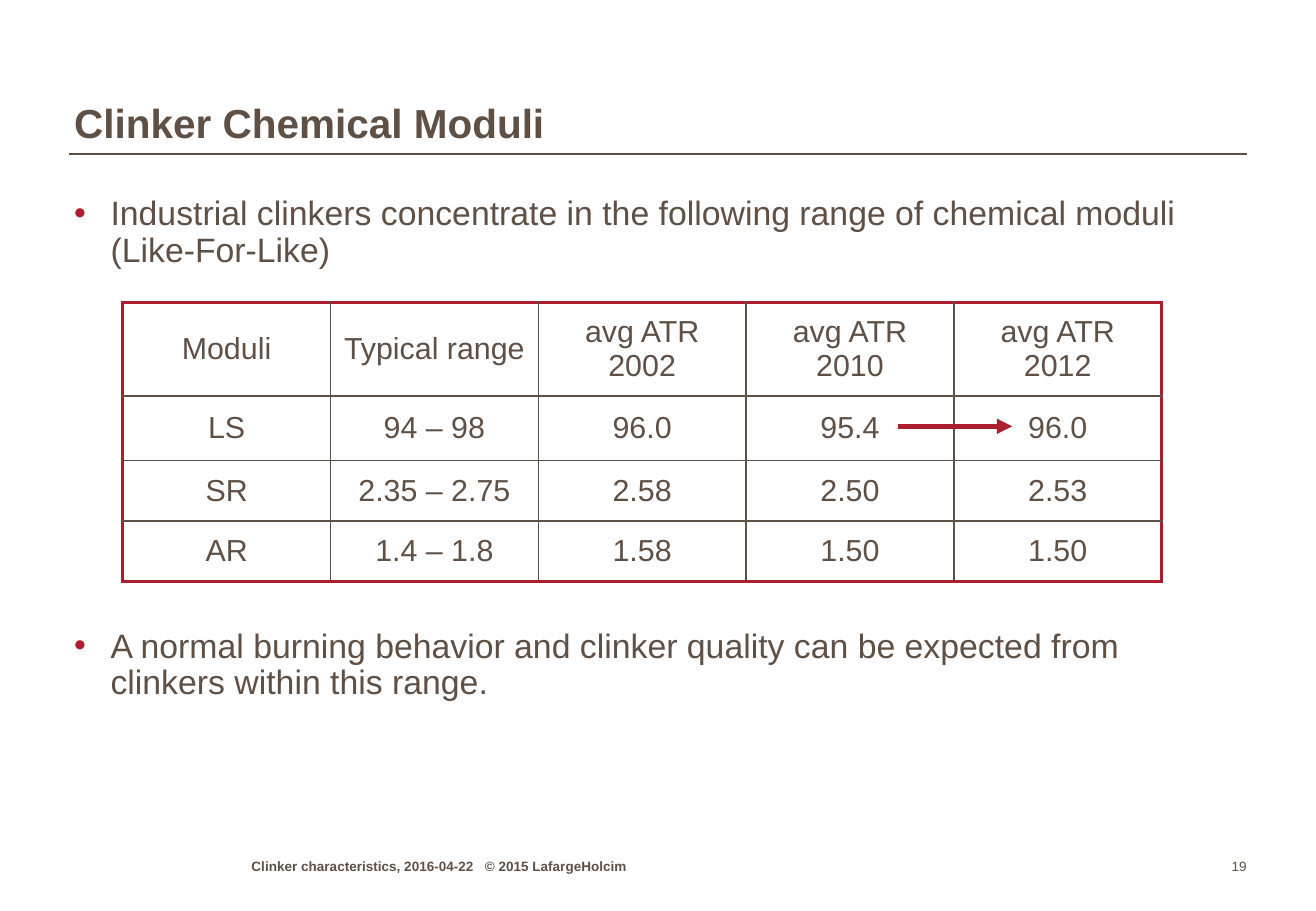
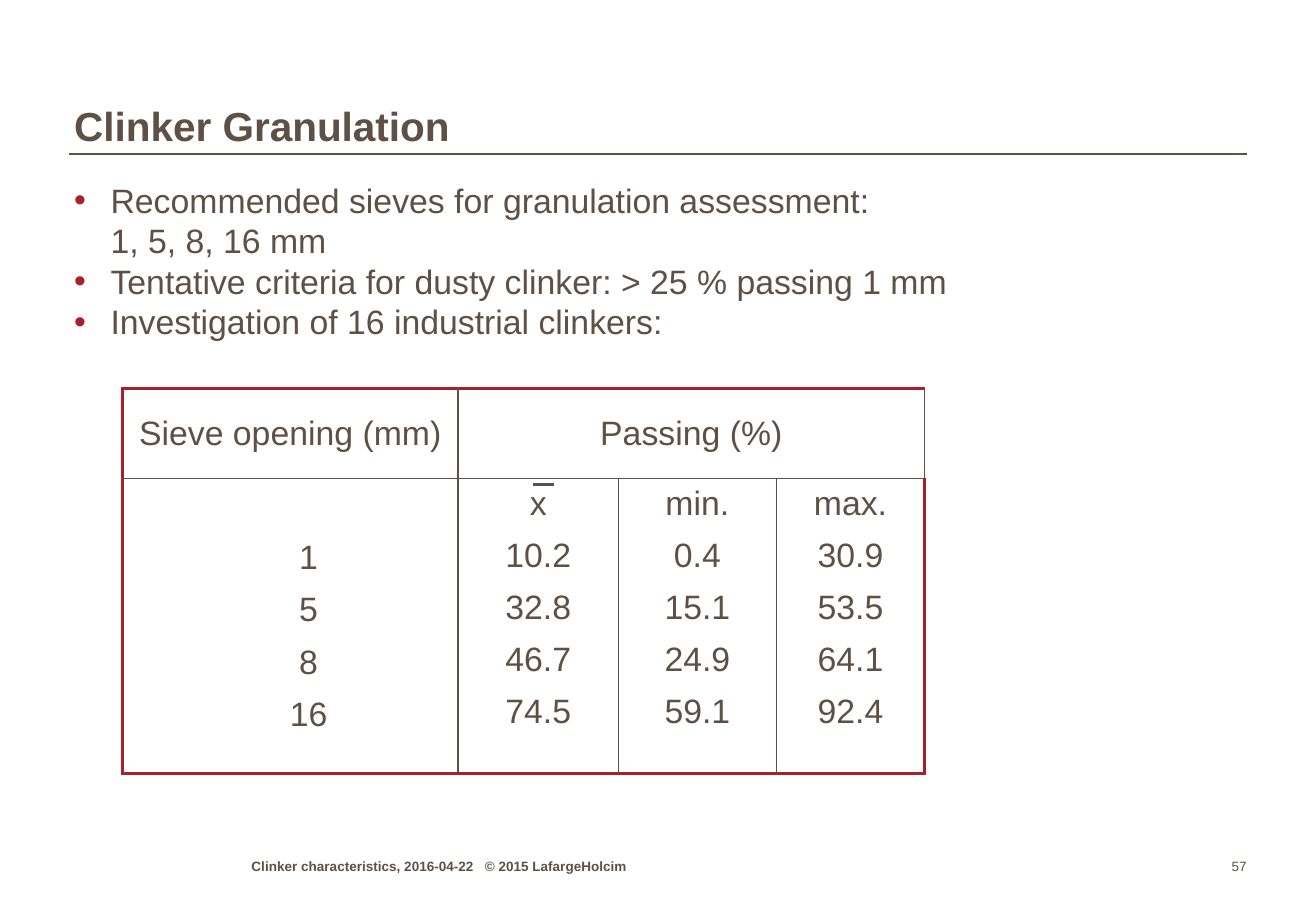
from lxml import etree
from pptx import Presentation
from pptx.dml.color import RGBColor
from pptx.enum import shapes, text
from pptx.oxml import ns
from pptx.util import Inches, Pt

BROWN = RGBColor(0x5F, 0x50, 0x46)
RED = RGBColor(0xAA, 0x1E, 0x2D)
FONT = "Arial"
LEFT = 0.61
TABLE_LEFT = 1.01
BODY_SIZE = 20
FOOTER = "Clinker characteristics, 2016-04-22\t© 2015 LafargeHolcim"
FOOTER_TOP = 7.02
CENTER = text.PP_ALIGN.CENTER


def add_element(parent, tag, **attributes):
    return etree.SubElement(parent, ns.qn(tag), attributes)


def format_runs(paragraph, size, bold=False):
    for run in paragraph.runs:
        run.font.name = FONT
        run.font.size = Pt(size)
        run.font.bold = bold
        run.font.color.rgb = BROWN


def add_text(slide, left, top, width, height, lines, size, bold=False,
             anchor=text.MSO_ANCHOR.BOTTOM, align=None, spacing=None):
    box = slide.shapes.add_textbox(Inches(left), Inches(top), Inches(width), Inches(height))
    frame = box.text_frame
    frame.word_wrap = True
    frame.vertical_anchor = anchor
    frame.margin_left = frame.margin_right = frame.margin_top = frame.margin_bottom = 0
    frame.text = "\n".join(lines)
    for paragraph in frame.paragraphs:
        paragraph.alignment = align
        paragraph.line_spacing = spacing
        format_runs(paragraph, size, bold)
    return frame


def add_bullets(slide, top, height, lines, spacing=None):
    frame = add_text(slide, LEFT, top, 9.61, height, lines, BODY_SIZE,
                     anchor=text.MSO_ANCHOR.TOP, spacing=spacing)
    for paragraph in frame.paragraphs:
        properties = paragraph._p.get_or_add_pPr()
        properties.set("marL", str(Inches(0.3)))
        properties.set("indent", str(-Inches(0.3)))
        color = add_element(properties, "a:buClr")
        add_element(color, "a:srgbClr", val=str(RED))
        add_element(properties, "a:buFont", typeface=FONT)
        add_element(properties, "a:buChar", char="•")


def add_line(slide, x1, x2, y, color, width, arrow=False):
    """Draw a horizontal line, with an arrowhead at its right end if asked."""
    line = slide.shapes.add_connector(
        shapes.MSO_CONNECTOR.STRAIGHT, Inches(x1), Inches(y), Inches(x2), Inches(y))
    line.line.color.rgb = color
    line.line.width = Pt(width)
    if arrow:
        add_element(line.line._get_or_add_ln(), "a:tailEnd", type="triangle")
    add_element(line._element.spPr, "a:effectLst")


def set_borders(cell, outer_sides):
    properties = cell._tc.get_or_add_tcPr()
    for index, side in enumerate("LRTB"):
        color, width = (RED, 2.25) if side in outer_sides else (BROWN, 1)
        border = etree.Element(ns.qn(f"a:ln{side}"), {"w": str(Pt(width))})
        fill = add_element(border, "a:solidFill")
        add_element(fill, "a:srgbClr", val=str(color))
        properties.insert(index, border)


def add_table(slide, top, widths, heights, rows, size):
    """Add a table with a red frame; a newline in a cell starts a paragraph."""
    table = slide.shapes.add_table(
        len(heights), len(widths), Inches(TABLE_LEFT), Inches(top),
        Inches(sum(widths)), Inches(sum(heights))).table
    table.first_row = table.horz_banding = False
    for column, width in zip(table.columns, widths):
        column.width = Inches(width)
    for row, height in zip(table.rows, heights):
        row.height = Inches(height)
    last_row, last_column = len(heights) - 1, len(widths) - 1
    for r, values in enumerate(rows):
        for c, value in enumerate(values):
            cell = table.cell(r, c)
            cell.fill.background()
            outer_sides = [side for side, is_outer in (
                ("L", c == 0), ("R", c == last_column),
                ("T", r == 0), ("B", r == last_row)) if is_outer]
            set_borders(cell, outer_sides)
            cell.vertical_anchor = text.MSO_ANCHOR.MIDDLE
            cell.text = value
            for paragraph in cell.text_frame.paragraphs:
                paragraph.alignment = CENTER
                format_runs(paragraph, size)
    return table


def add_base_slide(presentation, title, title_top, number):
    """Add a slide with the title, its rule and the footer."""
    slide = presentation.slides.add_slide(presentation.slide_layouts[6])
    add_line(slide, 0.57, 10.26, 1.27, BROWN, 1)
    add_text(slide, LEFT, title_top, 9.6, 0.86, [title], 24, bold=True, spacing=0.95)
    footer = add_text(slide, 2.07, FOOTER_TOP, 3.47, 0.18, [FOOTER], 8, bold=True)
    tabs = add_element(footer.paragraphs[0]._p.get_or_add_pPr(), "a:tabLst")
    add_element(tabs, "a:tab", pos=str(Inches(1.92)), algn="l")
    add_text(slide, 9.79, FOOTER_TOP, 0.47, 0.18, [str(number)], 8, align=text.PP_ALIGN.RIGHT)
    return slide


def build_moduli(presentation):
    slide = add_base_slide(presentation, "Clinker Chemical Moduli", 0.36, 19)
    add_bullets(slide, 1.62, 0.7, [
        "Industrial clinkers concentrate in the following range of chemical moduli "
        "(Like-For-Like)"], spacing=0.9)
    add_bullets(slide, 5.18, 0.7, [
        "A normal burning behavior and clinker quality can be expected from "
        "clinkers within this range."], spacing=0.9)
    add_table(slide, 2.49, [1.71] * 5, [0.77, 0.53, 0.5, 0.5], [
        ["Moduli", "Typical range", "avg ATR 2002", "avg ATR 2010", "avg ATR 2012"],
        ["LS", "94 – 98", "96.0", "95.4", "96.0"],
        ["SR", "2.35 – 2.75", "2.58", "2.50", "2.53"],
        ["AR", "1.4 – 1.8", "1.58", "1.50", "1.50"],
    ], 18)
    add_line(slide, 7.39, 8.33, 3.51, RED, 3, arrow=True)


def build_granulation(presentation):
    slide = add_base_slide(presentation, "Clinker Granulation", 0.38, 57)
    add_bullets(slide, 1.48, 1.5, [
        "Recommended sieves for granulation assessment: \v1, 5, 8, 16 mm",
        "Tentative criteria for dusty clinker: > 25 % passing 1 mm",
        "Investigation of 16 industrial clinkers:"])
    table = add_table(slide, 3.2, [2.76, 1.32, 1.3, 1.22], [0.74, 2.43], [
        ["Sieve opening (mm)", "Passing (%)", "", ""],
        ["1\n5\n8\n16",
         "x\n10.2\n32.8\n46.7\n74.5",
         "min.\n0.4\n15.1\n24.9\n59.1",
         "max.\n30.9\n53.5\n64.1\n92.4"],
    ], BODY_SIZE)
    table.cell(0, 1).merge(table.cell(0, 3))

    # Value columns start at the top, the sieve sizes one line lower
    for cell in table.rows[1].cells:
        cell.vertical_anchor = text.MSO_ANCHOR.TOP
        for paragraph in cell.text_frame.paragraphs[:-1]:
            paragraph.space_after = Pt(8.6)
    sieves = table.cell(1, 0)
    sieves.margin_top = Inches(0.5)
    sieves.margin_left = Inches(0.4)

    # Mean bar over the x
    add_line(slide, 4.39, 4.56, 3.99, BROWN, 1.5)


def main():
    presentation = Presentation()
    presentation.slide_width = Inches(10.83)
    presentation.slide_height = Inches(7.5)
    build_moduli(presentation)
    build_granulation(presentation)
    presentation.save("out.pptx")


if __name__ == "__main__":
    main()
